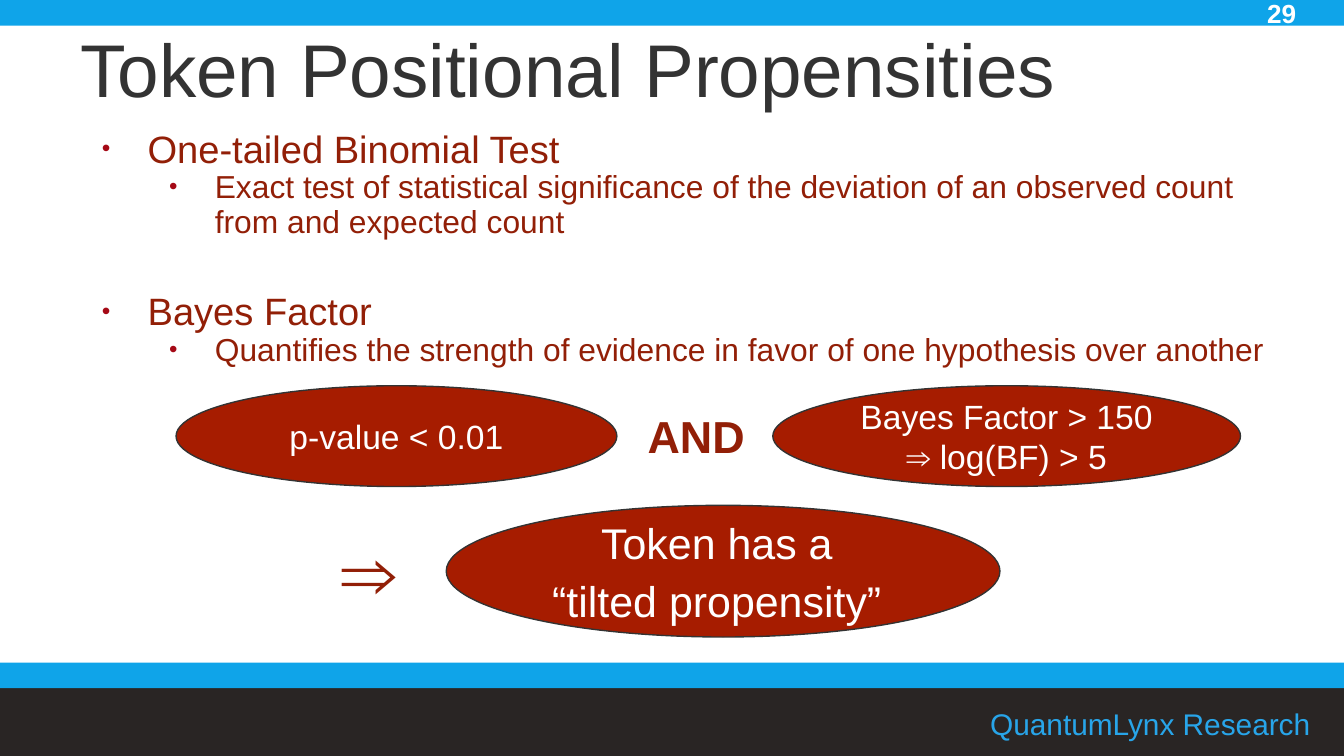
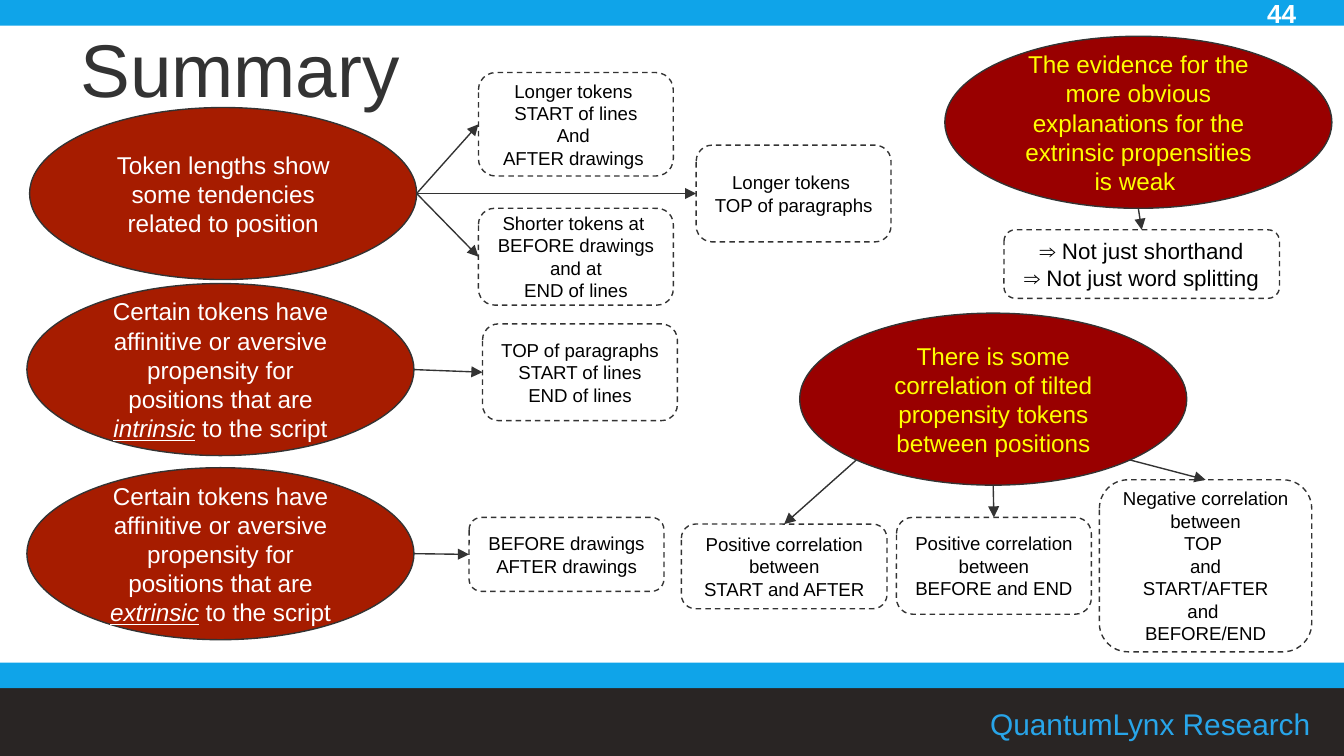
import math
from dataclasses import dataclass

from lxml import etree
from pptx import Presentation
from pptx.dml.color import RGBColor
from pptx.enum.dml import MSO_LINE
from pptx.enum.shapes import MSO_CONNECTOR, MSO_SHAPE
from pptx.enum.text import MSO_ANCHOR, PP_ALIGN
from pptx.oxml.ns import qn
from pptx.util import Inches, Pt

RECTANGLE, ROUNDED, OVAL = MSO_SHAPE.RECTANGLE, MSO_SHAPE.ROUNDED_RECTANGLE, MSO_SHAPE.OVAL
STRAIGHT, DASH = MSO_CONNECTOR.STRAIGHT, MSO_LINE.DASH
LEFT, CENTER, RIGHT = PP_ALIGN.LEFT, PP_ALIGN.CENTER, PP_ALIGN.RIGHT
TOP, MIDDLE = MSO_ANCHOR.TOP, MSO_ANCHOR.MIDDLE

FONT = "Arial"
SKY = RGBColor(0x0F, 0xA4, 0xE9)
FOOTER_BLUE = RGBColor(0x28, 0xA5, 0xE9)
CHARCOAL = RGBColor(0x29, 0x25, 0x24)
DARK_GRAY = RGBColor(0x33, 0x33, 0x33)
BRICK = RGBColor(0xA6, 0x1C, 0x00)
CRIMSON = RGBColor(0x99, 0x00, 0x00)
RUST = RGBColor(0x92, 0x1F, 0x07)
BULLET_RED = RGBColor(0xA5, 0x09, 0x16)
WHITE = RGBColor(0xFF, 0xFF, 0xFF)
YELLOW = RGBColor(0xFF, 0xFF, 0x00)
BLACK = RGBColor(0x00, 0x00, 0x00)

SLIDE_WIDTH, SLIDE_HEIGHT = 10, 5.625
BOX_TOP, BOX_LEFT = 0, 1  # connection sites
EAST, SOUTH_EAST, SOUTH, SOUTH_WEST = 0, 45, 90, 135  # degrees, clockwise


@dataclass(frozen=True)
class Area:
    left: float
    top: float
    width: float
    height: float

    def inches(self) -> tuple:
        return tuple(Inches(n) for n in (self.left, self.top, self.width, self.height))

    def rim(self, degrees: float) -> tuple:
        """Point on the ellipse that fills this area."""
        angle = math.radians(degrees)
        return (Inches(self.left + self.width / 2 * (1 + math.cos(angle))),
                Inches(self.top + self.height / 2 * (1 + math.sin(angle))))


@dataclass(frozen=True)
class TextStyle:
    size: float
    color: RGBColor
    bold: bool = False
    align: int = LEFT
    space_between: float = 0


@dataclass(frozen=True)
class Ellipse:
    area: Area
    lines: tuple
    fill: RGBColor
    style: TextStyle
    emphasis: str = ""


@dataclass(frozen=True)
class Note:
    area: Area
    lines: tuple
    size: float = 10


@dataclass(frozen=True)
class Arrow:
    ellipse: str
    angle: float
    note: str
    site: int


@dataclass(frozen=True)
class Bullet:
    level: int
    text: str
    space_before: float = 0


TITLE = TextStyle(40, DARK_GRAY)
NUMBER = TextStyle(14, WHITE, bold=True)
FOOTER = TextStyle(16, FOOTER_BLUE, align=RIGHT)
FINDING = TextStyle(13, WHITE, align=CENTER)
CONCLUSION = TextStyle(13, YELLOW, align=CENTER)
CRITERION = TextStyle(18, WHITE, align=CENTER)
RESULT = TextStyle(23, WHITE, align=CENTER, space_between=3.6)

BULLET_LEVELS = ((20.4, 0.5, 64000), (17, 1, 76000))  # size, indent, bullet scale
BULLETS = (
    Bullet(0, "One-tailed Binomial Test"),
    Bullet(1, "Exact test of statistical significance of the deviation of an "
              "observed count from and expected count"),
    Bullet(0, "Bayes Factor", 28.3),
    Bullet(1, "Quantifies the strength of evidence in favor of one hypothesis over another"),
)
CRITERIA = (
    Ellipse(Area(3.32, 3.76, 4.12, 0.98), ("Token has a ", "“tilted propensity” "), BRICK, RESULT),
    Ellipse(Area(1.31, 2.87, 3.28, 0.75), ("p-value < 0.01",), BRICK, CRITERION),
    Ellipse(Area(5.75, 2.87, 3.48, 0.75), ("Bayes Factor > 150 ⇒ log(BF) > 5",), BRICK, CRITERION),
)

# Summary: ellipses, their notes and the arrows between them
TENDENCY = "Certain tokens have affinitive or aversive propensity for positions that are {} to the script"
ELLIPSE_SIZE, NOTE_SIZE = (2.88, 1.28), (1.45, 0.72)
FINDINGS = {
    "intrinsic": Ellipse(Area(0.2, 2.11, *ELLIPSE_SIZE), (TENDENCY.format("intrinsic"),),
                         BRICK, FINDING, "intrinsic"),
    "extrinsic": Ellipse(Area(0.2, 3.48, *ELLIPSE_SIZE), (TENDENCY.format("extrinsic"),),
                         BRICK, FINDING, "extrinsic"),
    "lengths": Ellipse(Area(0.22, 0.8, *ELLIPSE_SIZE),
                       ("Token lengths show some tendencies related to position",), BRICK, FINDING),
    "evidence": Ellipse(Area(7.03, 0.27, *ELLIPSE_SIZE),
                        ("The evidence for the more obvious explanations for the "
                         "extrinsic propensities is weak ",), CRIMSON, CONCLUSION),
    "correlation": Ellipse(Area(5.95, 2.33, *ELLIPSE_SIZE),
                           ("There is some correlation of tilted propensity tokens "
                            "between positions",), CRIMSON, CONCLUSION),
}
NOTES = {
    "longer lines": Note(Area(3.56, 0.54, 1.45, 0.77),
                         ("Longer tokens ", "START of lines", "And ", "AFTER drawings ")),
    "longer paragraphs": Note(Area(5.18, 1.08, *NOTE_SIZE), ("Longer tokens ", "TOP of paragraphs")),
    "shorter": Note(Area(3.56, 1.55, *NOTE_SIZE),
                    ("Shorter tokens at ", "BEFORE drawings", "and at", "END of lines")),
    "script positions": Note(Area(3.59, 2.41, *NOTE_SIZE),
                             ("TOP of paragraphs", "START of lines", "END of lines")),
    "drawings": Note(Area(3.49, 3.85, 1.45, 0.55), ("BEFORE drawings", "AFTER drawings")),
    "not just": Note(Area(7.47, 1.71, 2.05, 0.51),
                     ("⇒ Not just shorthand", "⇒ Not just word splitting"), 12),
    "start after": Note(Area(5.07, 3.9, 1.53, 0.63),
                        ("Positive correlation", "between", "START and AFTER")),
    "before end": Note(Area(6.67, 3.85, *NOTE_SIZE),
                       ("Positive correlation", "between", "BEFORE and END")),
    "negative": Note(Area(8.18, 3.57, 1.58, 1.28),
                     ("Negative correlation", "between", "TOP ", "and", "START/AFTER",
                      "and ", "BEFORE/END")),
}
ARROWS = (
    Arrow("lengths", EAST, "longer lines", BOX_LEFT),
    Arrow("lengths", EAST, "longer paragraphs", BOX_LEFT),
    Arrow("lengths", EAST, "shorter", BOX_LEFT),
    Arrow("intrinsic", EAST, "script positions", BOX_LEFT),
    Arrow("extrinsic", EAST, "drawings", BOX_LEFT),
    Arrow("evidence", SOUTH, "not just", BOX_TOP),
    Arrow("correlation", SOUTH_WEST, "start after", BOX_TOP),
    Arrow("correlation", SOUTH, "before end", BOX_TOP),
    Arrow("correlation", SOUTH_EAST, "negative", BOX_TOP),
)


def set_font(paragraph, style: TextStyle) -> None:
    font = paragraph.font
    font.name, font.size, font.bold = FONT, Pt(style.size), style.bold
    font.color.rgb = style.color


def set_frame(shape, anchor, vertical_inset: float = 0.1, wrap: bool = True):
    frame = shape.text_frame
    frame.word_wrap, frame.vertical_anchor = wrap, anchor
    frame.margin_left = frame.margin_right = Inches(0.1)
    frame.margin_top = frame.margin_bottom = Inches(vertical_inset)
    return frame


def write_lines(frame, lines: tuple, style: TextStyle, emphasis: str = "") -> None:
    for index, line in enumerate(lines):
        paragraph = frame.add_paragraph() if index else frame.paragraphs[0]
        paragraph.alignment = style.align
        if index and style.space_between:
            paragraph.space_before = Pt(style.space_between)
        set_font(paragraph, style)
        for part in line.partition(emphasis) if emphasis else (line,):
            run = paragraph.add_run()
            run.text = part
            if part == emphasis:
                run.font.italic = run.font.underline = True


def add_text(slide, area: Area, text: str, style: TextStyle, anchor=MIDDLE,
             vertical_inset: float = 0.1, wrap: bool = True) -> None:
    box = slide.shapes.add_textbox(*area.inches())
    write_lines(set_frame(box, anchor, vertical_inset, wrap), (text,), style)


def add_band(slide, top: float, height: float, color: RGBColor) -> None:
    band = slide.shapes.add_shape(RECTANGLE, *Area(0, top, SLIDE_WIDTH, height).inches())
    band.shadow.inherit = False
    band.fill.solid()
    band.fill.fore_color.rgb = color
    band.line.fill.background()


def add_outlined(slide, kind, area: Area):
    shape = slide.shapes.add_shape(kind, *area.inches())
    shape.shadow.inherit = False
    shape.line.color.rgb = DARK_GRAY
    shape.line.width = Pt(0.75)
    return shape


def add_ellipse(slide, ellipse: Ellipse) -> None:
    shape = add_outlined(slide, OVAL, ellipse.area)
    shape.fill.solid()
    shape.fill.fore_color.rgb = ellipse.fill
    write_lines(set_frame(shape, MIDDLE), ellipse.lines, ellipse.style, ellipse.emphasis)


def add_note(slide, note: Note):
    shape = add_outlined(slide, ROUNDED, note.area)
    shape.fill.background()
    shape.line.dash_style = DASH
    write_lines(set_frame(shape, MIDDLE), note.lines, TextStyle(note.size, BLACK, align=CENTER))
    return shape


def add_arrow(slide, start: tuple, box, site: int) -> None:
    connector = slide.shapes.add_connector(STRAIGHT, *start, *start)
    connector.end_connect(box, site)
    connector.line.color.rgb = DARK_GRAY
    connector.line.width = Pt(0.75)
    properties = connector.line._get_or_add_ln()
    etree.SubElement(properties, qn("a:tailEnd"), type="triangle")
    etree.SubElement(connector._element.spPr, qn("a:effectLst"))


def add_bullets(slide, area: Area, bullets: tuple) -> None:
    frame = set_frame(slide.shapes.add_textbox(*area.inches()), TOP, 0.05)
    for index, bullet in enumerate(bullets):
        size, indent, scale = BULLET_LEVELS[bullet.level]
        paragraph = frame.add_paragraph() if index else frame.paragraphs[0]
        paragraph.text, paragraph.level = bullet.text, bullet.level
        properties = paragraph._p.get_or_add_pPr()
        properties.set("marL", str(Inches(indent)))
        properties.set("indent", str(Inches(-0.34)))
        color = etree.SubElement(properties, qn("a:buClr"))
        etree.SubElement(color, qn("a:srgbClr"), val=str(BULLET_RED))
        etree.SubElement(properties, qn("a:buSzPct"), val=str(scale))
        etree.SubElement(properties, qn("a:buFont"), typeface=FONT)
        etree.SubElement(properties, qn("a:buChar"), char="•")
        paragraph.line_spacing = 0.9
        paragraph.space_before = Pt(bullet.space_before)
        set_font(paragraph, TextStyle(size, RUST))


def add_base_slide(presentation, title: str, number: str):
    slide = presentation.slides.add_slide(presentation.slide_layouts[6])
    add_band(slide, 0, 0.19, SKY)
    add_band(slide, 5.12, SLIDE_HEIGHT - 5.12, CHARCOAL)
    add_band(slide, 4.93, 0.19, SKY)
    add_text(slide, Area(6.81, 5.15, 3.1, 0.47), "QuantumLynx Research ", FOOTER)
    add_text(slide, Area(0.5, 0.1, 9, 0.81), title, TITLE, vertical_inset=0.05)
    add_text(slide, Area(9.33, -0.04, 0.54, 0.27), number, NUMBER, vertical_inset=0.05)
    return slide


def build_propensities(presentation) -> None:
    slide = add_base_slide(presentation, "Token Positional Propensities", "29")
    add_bullets(slide, Area(0.5, 0.92, 9.21, 2.1), BULLETS)
    for ellipse in CRITERIA:
        add_ellipse(slide, ellipse)
    add_text(slide, Area(4.72, 2.94, 1.32, 0.61), "AND", TextStyle(24, RUST, bold=True), TOP)
    add_text(slide, Area(2.44, 3.8, 0.9, 0.89), "⇒", TextStyle(41, RUST, bold=True), TOP)


def build_summary(presentation) -> None:
    slide = add_base_slide(presentation, "Summary", "44")
    for ellipse in FINDINGS.values():
        add_ellipse(slide, ellipse)
    boxes = {name: add_note(slide, note) for name, note in NOTES.items()}
    for arrow in ARROWS:
        start = FINDINGS[arrow.ellipse].area.rim(arrow.angle)
        add_arrow(slide, start, boxes[arrow.note], arrow.site)


def main() -> None:
    presentation = Presentation()
    presentation.slide_width = Inches(SLIDE_WIDTH)
    presentation.slide_height = Inches(SLIDE_HEIGHT)
    build_propensities(presentation)
    build_summary(presentation)
    presentation.save("out.pptx")


if __name__ == "__main__":
    main()
